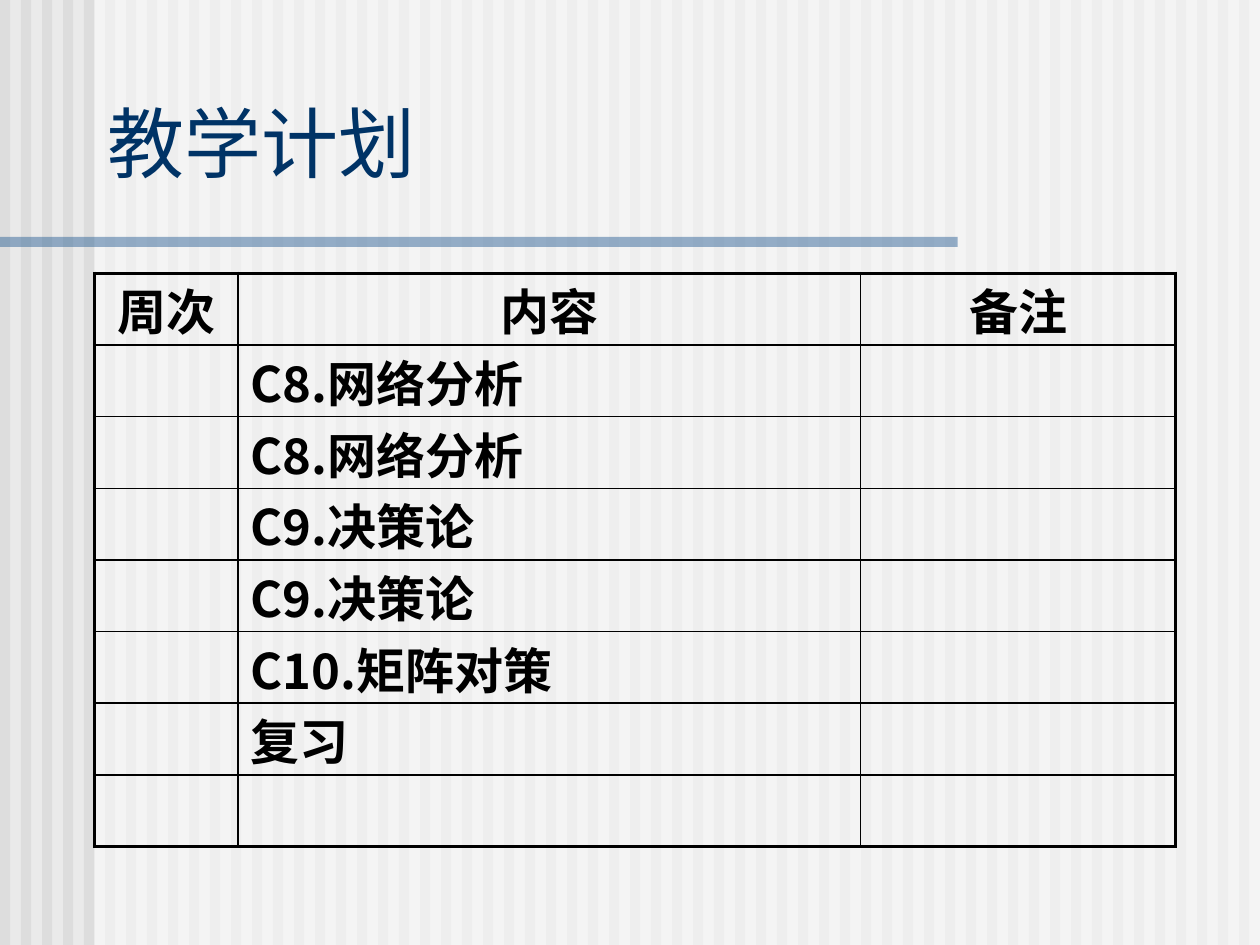
"""Build the teaching plan slide: striped backdrop, title and weekly table."""
import pptx
import pptx.dml.color
import pptx.enum.shapes
import pptx.enum.text
import pptx.oxml
import pptx.oxml.ns
import pptx.util

Inches, Pt = pptx.util.Inches, pptx.util.Pt
RGBColor = pptx.dml.color.RGBColor
PP_ALIGN, MSO_ANCHOR = pptx.enum.text.PP_ALIGN, pptx.enum.text.MSO_ANCHOR

TITLE = "教学计划"
ROWS = [
    ("周次", "内容", "备注"),
    ("", "C8.网络分析", ""),
    ("", "C8.网络分析", ""),
    ("", "C9.决策论", ""),
    ("", "C9.决策论", ""),
    ("", "C10.矩阵对策", ""),
    ("", "复习", ""),
    ("", "", ""),
]
COL_WIDTHS = (1.14, 4.94, 2.5)
TABLE_LEFT, TABLE_TOP, TABLE_HEIGHT = 0.75, 2.17, 4.55
STRIPES = 60
OUTER, INNER = 2.25, 1

FONT = "Noto Sans CJK SC"
BACKDROP = RGBColor(0xEA, 0xEA, 0xEA)
STRIPE = RGBColor(0xDD, 0xDD, 0xDD)
WHITE = RGBColor(0xFF, 0xFF, 0xFF)
BAR = RGBColor(0x33, 0x66, 0x99)
NAVY = RGBColor(0x00, 0x33, 0x66)
BLACK = RGBColor(0x00, 0x00, 0x00)


def add_text(tf, text, size, color, bold=False, align=PP_ALIGN.LEFT, before=0):
    p = tf.paragraphs[0]
    p.alignment, p.space_before = align, Pt(before)
    r = p.add_run()
    r.text = text
    r.font.name, r.font.size, r.font.bold = FONT, Pt(size), bold
    r.font.color.rgb = color
    ea = pptx.oxml.parse_xml(f'<a:ea {pptx.oxml.ns.nsdecls("a")} typeface="{FONT}"/>')
    r.font._element.find(pptx.oxml.ns.qn("a:latin")).addnext(ea)


def add_rect(s, left, top, width, height, color, alpha=None):
    sp = s.shapes.add_shape(pptx.enum.shapes.MSO_SHAPE.RECTANGLE,
                            Inches(left), Inches(top), Inches(width), Inches(height))
    sp.shadow.inherit = False
    sp.line.fill.background()
    sp.fill.solid()
    sp.fill.fore_color.rgb = color
    if alpha is not None:
        clr = sp.element.spPr.find(".//" + pptx.oxml.ns.qn("a:srgbClr"))
        clr.append(pptx.oxml.parse_xml(
            f'<a:alpha {pptx.oxml.ns.nsdecls("a")} val="{alpha * 1000}"/>'))


def set_borders(cell, widths):
    tcPr = cell._tc.get_or_add_tcPr()
    for i, (side, width) in enumerate(widths.items()):
        tcPr.insert(i, pptx.oxml.parse_xml(
            f'<a:ln{side} {pptx.oxml.ns.nsdecls("a")} w="{Pt(width)}">'
            f'<a:solidFill><a:srgbClr val="{BLACK}"/></a:solidFill></a:ln{side}>'))


def add_plan(s):
    last_row, last_col = len(ROWS) - 1, len(COL_WIDTHS) - 1
    table = s.shapes.add_table(len(ROWS), len(COL_WIDTHS), Inches(TABLE_LEFT), Inches(TABLE_TOP),
                               Inches(sum(COL_WIDTHS)), Inches(TABLE_HEIGHT)).table
    table.first_row = table.horz_banding = False
    for col, width in zip(table.columns, COL_WIDTHS):
        col.width = Inches(width)
    for i, row in enumerate(ROWS):
        for j, text in enumerate(row):
            cell = table.cell(i, j)
            cell.margin_top = cell.margin_bottom = 0
            cell.vertical_anchor = MSO_ANCHOR.BOTTOM
            cell.fill.background()
            set_borders(cell, {
                "L": OUTER if j == 0 else INNER,
                "R": OUTER if j == last_col else INNER,
                "T": OUTER if i == 0 else INNER,
                "B": OUTER if i == last_row else INNER,
            })
            if text:
                add_text(cell.text_frame, text, 28, BLACK, bold=True, before=7,
                         align=PP_ALIGN.CENTER if i == 0 else PP_ALIGN.LEFT)


def main():
    prs = pptx.Presentation()
    prs.slide_width, prs.slide_height = Inches(10), Inches(7.5)
    s = prs.slides.add_slide(prs.slide_layouts[5])
    s.background.fill.solid()
    s.background.fill.fore_color.rgb = BACKDROP

    for i in range(STRIPES):
        add_rect(s, i * 10 / STRIPES, 0, 0.08, 7.5, STRIPE)
    add_rect(s, 0.75, 0, 9.25, 7.5, WHITE, alpha=50)
    add_rect(s, 0, 1.88, 7.6, 0.08, BAR, alpha=50)

    title = s.shapes.title
    title.element.getparent().append(title.element)
    title.left, title.top = Inches(0.75), Inches(0.5)
    title.width, title.height = Inches(8.5), Inches(1.25)
    title.text_frame.vertical_anchor = MSO_ANCHOR.MIDDLE
    add_text(title.text_frame, TITLE, 44, NAVY)

    add_plan(s)
    prs.save("out.pptx")


if __name__ == "__main__":
    main()
